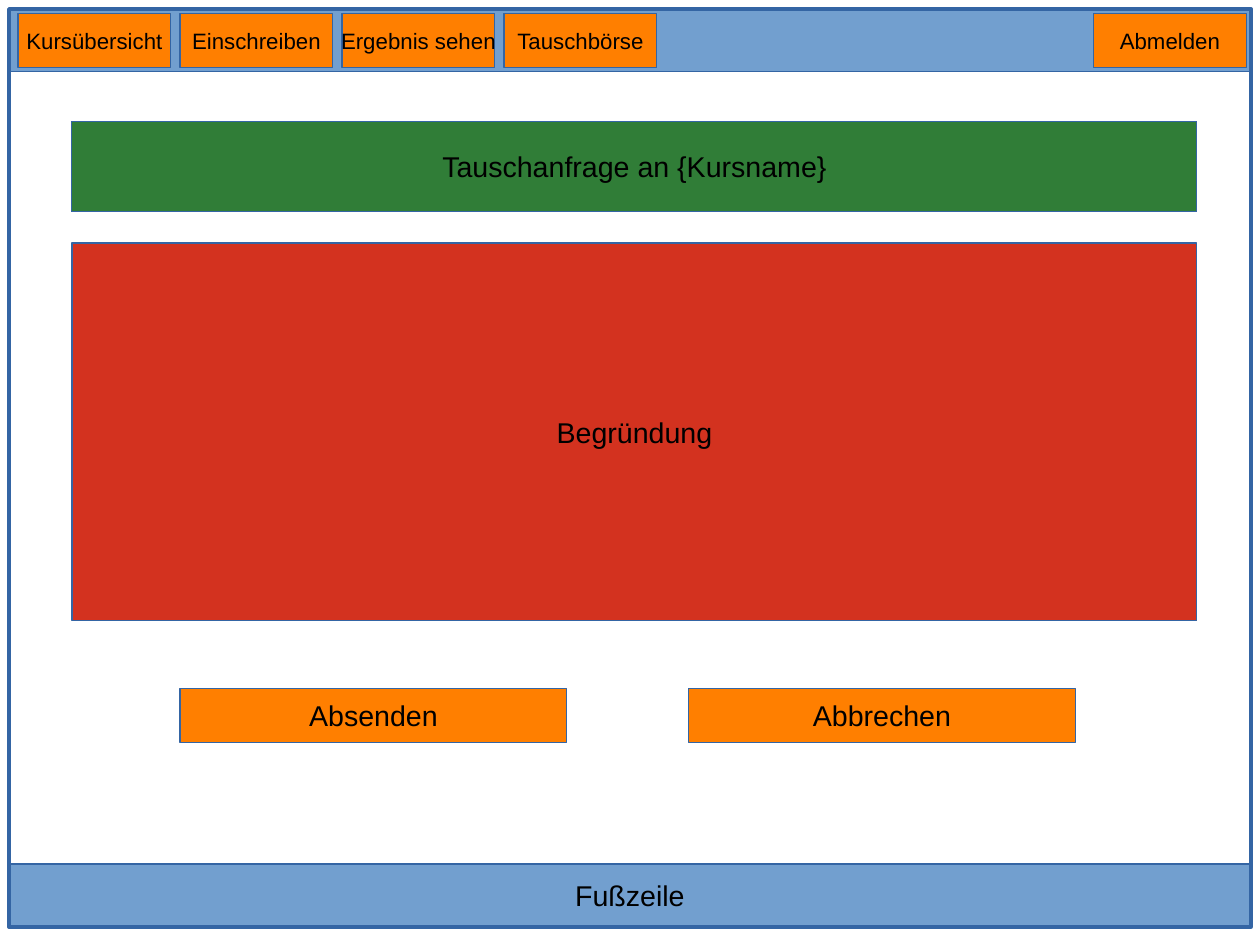
from pptx import Presentation
from pptx.dml.color import RGBColor
from pptx.enum.shapes import MSO_SHAPE
from pptx.enum.text import MSO_ANCHOR, MSO_AUTO_SIZE, PP_ALIGN
from pptx.util import Cm, Pt

RECT = MSO_SHAPE.RECTANGLE
MIDDLE = MSO_ANCHOR.MIDDLE
NO_FIT = MSO_AUTO_SIZE.NONE
CENTER = PP_ALIGN.CENTER

COLORS = {
    "bar": "729FCF",
    "line": "3465A4",
    "head": "307D37",
    "reason": "D3321F",
    "button": "FF7F00",
    "text": "000000",
}

# Page grid in centimetres
WIDE, HIGH = 28, 21
EDGE = 0.2
BAR = 1.4
SIDE = 1.6
BODY = 25
STEP = 3.6
TAB = 3.4
ROW = 1.2

deck = Presentation()
deck.slide_width, deck.slide_height = Cm(WIDE), Cm(HIGH)
slide = deck.slides.add_slide(deck.slide_layouts[5])


def style(shape, fill, text="", size=18, line=0):
    if fill:
        shape.fill.solid()
        shape.fill.fore_color.rgb = RGBColor.from_string(COLORS[fill])
    else:
        shape.fill.background()
    shape.line.color.rgb = RGBColor.from_string(COLORS["line"])
    shape.line.width = Pt(line)
    if text:
        frame = shape.text_frame
        frame.text = text
        frame.word_wrap = False
        frame.auto_size = NO_FIT
        frame.vertical_anchor = MIDDLE
        para = frame.paragraphs[0]
        para.alignment = CENTER
        para.font.name = "Arial"
        para.font.size = Pt(size)
        para.font.color.rgb = RGBColor.from_string(COLORS["text"])


def box(left, top, width, height, *look):
    shape = slide.shapes.add_shape(RECT, Cm(left), Cm(top), Cm(width), Cm(height))
    shape.shadow.inherit = False
    style(shape, *look)


# Title
title = slide.shapes.title
title.left, title.top = Cm(SIDE), Cm(2.7)
title.width, title.height = Cm(BODY), Cm(2)
style(title, "head", "Tauschanfrage an {Kursname}")

# Header bar, footer and page frame
span = WIDE - 2 * EDGE
box(EDGE, EDGE, span, BAR, "bar")
box(EDGE, HIGH - EDGE - 1.6, span, BAR, "bar", "Fußzeile")
box(EDGE, EDGE, span, HIGH - 2 * EDGE - 0.2, None, "", 18, 2.3)

# Menu: four tabs at the left, logout at the right
tabs = ["Kursübersicht", "Einschreiben", "Ergebnis sehen", "Tauschbörse"]
for col, name in enumerate(tabs):
    box(2 * EDGE + col * STEP, 0.3, TAB, ROW, "button", name, 14)
box(WIDE - 0.3 - TAB, 0.3, TAB, ROW, "button", "Abmelden", 14)

# Reason field
box(SIDE, 5.4, BODY, 8.4, "reason", "Begründung")

# Action buttons
for col, name in enumerate(["Absenden", "Abbrechen"]):
    box(4 + col * 11.3, 15.3, 8.6, ROW, "button", name)

deck.save("out.pptx")
